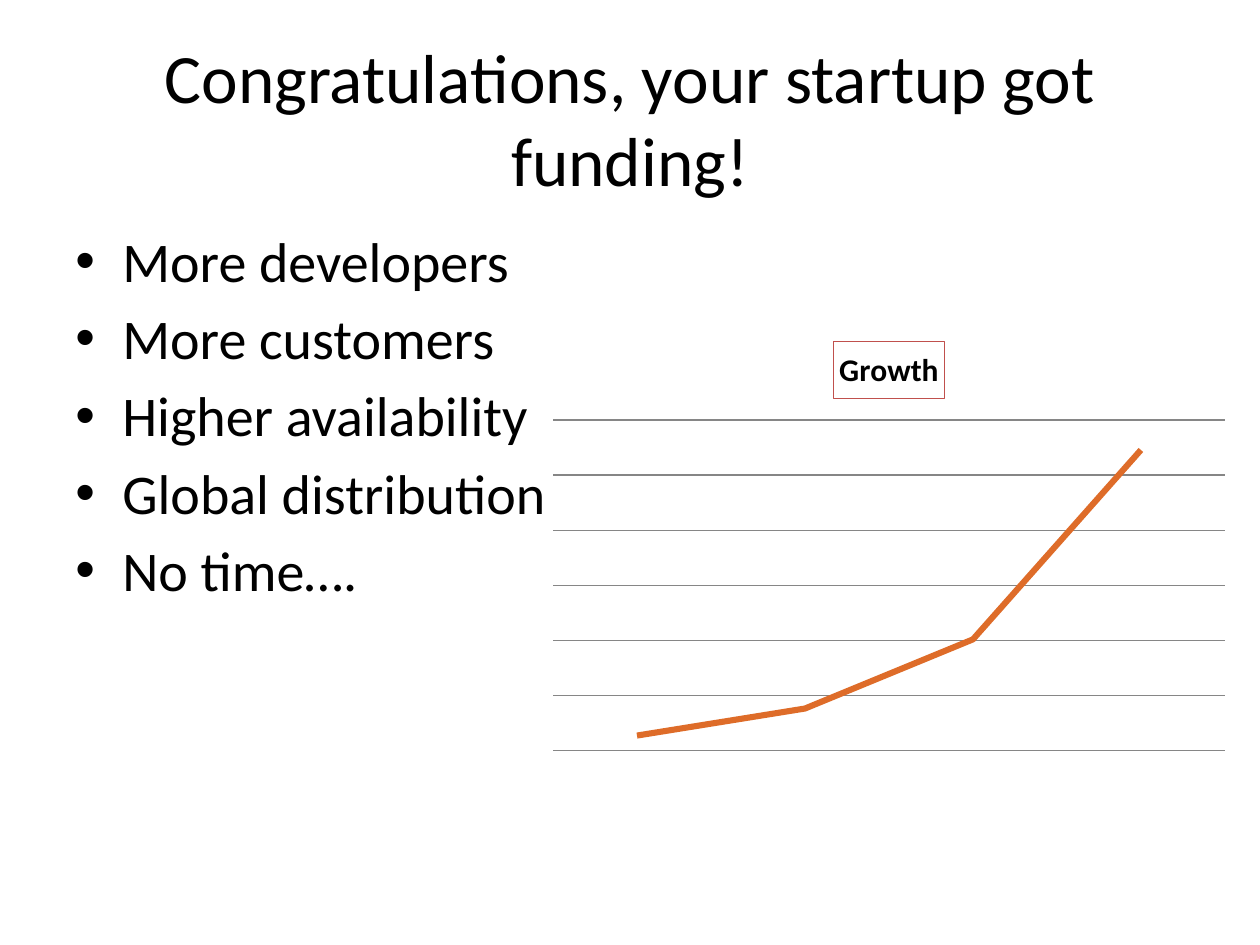
from dataclasses import dataclass
from lxml import etree
from pptx import Presentation
from pptx.chart.data import CategoryChartData
from pptx.dml.color import RGBColor
from pptx.enum.chart import XL_CHART_TYPE, XL_MARKER_STYLE
from pptx.enum.text import MSO_ANCHOR, PP_ALIGN
from pptx.oxml.ns import qn
from pptx.util import Pt

LINE_CHART = XL_CHART_TYPE.LINE
NO_MARKER = XL_MARKER_STYLE.NONE
TOP, MIDDLE = MSO_ANCHOR.TOP, MSO_ANCHOR.MIDDLE
LEFT, CENTER = PP_ALIGN.LEFT, PP_ALIGN.CENTER

# Content
TITLE = "Congratulations, your startup got funding!"
POINTS = ["More developers", "More customers", "Higher availability",
          "Global distribution", "No time…."]
GROWTH = {"title": "Growth", "series": "Series 1",
          "categories": ["1", "2", "3", "4"], "values": [5, 14, 37, 100],
          "maximum": 110, "step": 18.33}

# Places in px: left, top, width, height
PAGE_SIZE = (1260, 945)
TITLE_AREA = (63, 38, 1134, 158)
POINTS_AREA = (63, 220, 1134, 624)
CHART_AREA = (539, 326, 700, 433)
PLOT_AREA = (554, 420, 671, 331)
BULLET_INDENT = 47


@dataclass(frozen=True)
class Theme:
    font: str = "Calibri"
    text: RGBColor = RGBColor(0, 0, 0)
    paper: RGBColor = RGBColor(255, 255, 255)
    growth: RGBColor = RGBColor(0xDE, 0x6C, 0x29)
    frame: RGBColor = RGBColor(0xC0, 0x50, 0x4D)
    grid: RGBColor = RGBColor(0x86, 0x86, 0x86)
    title_size: float = 39.6
    point_size: float = 32
    chart_size: float = 18
    point_gap: float = 5.8
    thin: float = 0.75
    thick: float = 3.5


THEME = Theme()


def px(length):
    return round(length * 914400 / 126)


def set_font(font, size, bold=False):
    font.name, font.size, font.bold = THEME.font, Pt(size), bold
    font.color.rgb = THEME.text


def add_text(page, area, lines, size, align, anchor, bullets=False):
    box = page.shapes.add_textbox(*map(px, area))
    frame = box.text_frame
    frame.word_wrap = True
    frame.vertical_anchor = anchor
    for index, line in enumerate(lines):
        para = frame.paragraphs[0] if index == 0 else frame.add_paragraph()
        para.text = line
        para.alignment = align
        if index:
            para.space_before = Pt(THEME.point_gap)
        if bullets:
            add_bullet(para)
        set_font(para.font, size)


def add_bullet(para):
    properties = para._p.get_or_add_pPr()
    properties.set("marL", str(px(BULLET_INDENT)))
    properties.set("indent", str(-px(BULLET_INDENT)))
    etree.SubElement(properties, qn("a:buFont")).set("typeface", "Arial")
    etree.SubElement(properties, qn("a:buChar")).set("char", "•")


def place_plot(chart):
    left, top, width, height = CHART_AREA
    plot_left, plot_top, plot_width, plot_height = PLOT_AREA
    settings = [("layoutTarget", "inner"), ("xMode", "edge"), ("yMode", "edge"),
                ("x", round((plot_left - left) / width, 2)),
                ("y", round((plot_top - top) / height, 3)),
                ("w", round(plot_width / width, 2)),
                ("h", round(plot_height / height, 3))]
    plot_area = chart._chartSpace.chart.plotArea
    layout = plot_area.find(qn("c:layout"))
    if layout is None:
        layout = etree.Element(qn("c:layout"))
        plot_area.insert(0, layout)
    manual = etree.SubElement(layout, qn("c:manualLayout"))
    for name, value in settings:
        etree.SubElement(manual, qn("c:" + name)).set("val", str(value))


def add_growth_chart(page):
    data = CategoryChartData()
    data.categories = GROWTH["categories"]
    data.add_series(GROWTH["series"], GROWTH["values"])
    chart = page.shapes.add_chart(LINE_CHART, *map(px, CHART_AREA), data).chart
    set_font(chart.font, THEME.chart_size)
    chart.has_legend = False

    # Framed heading
    chart.has_title = True
    heading = chart.chart_title
    para = heading.text_frame.paragraphs[0]
    para.text = GROWTH["title"]
    set_font(para.font, THEME.chart_size, bold=True)
    heading.format.fill.solid()
    heading.format.fill.fore_color.rgb = THEME.paper
    heading.format.line.color.rgb = THEME.frame
    heading.format.line.width = Pt(THEME.thin)

    # Hidden axes with gridlines
    chart.category_axis.visible = False
    axis = chart.value_axis
    axis.visible = False
    axis.minimum_scale, axis.maximum_scale = 0, GROWTH["maximum"]
    axis.major_unit = GROWTH["step"]
    axis.has_major_gridlines = True
    axis.major_gridlines.format.line.color.rgb = THEME.grid
    axis.major_gridlines.format.line.width = Pt(THEME.thin)

    # Growth line
    plot = chart.plots[0]
    plot.vary_by_categories = False
    series = plot.series[0]
    series.smooth = False
    series.marker.style = NO_MARKER
    series.format.line.color.rgb = THEME.growth
    series.format.line.width = Pt(THEME.thick)
    place_plot(chart)


def main():
    deck = Presentation()
    deck.slide_width, deck.slide_height = map(px, PAGE_SIZE)
    page = deck.slides.add_slide(deck.slide_layouts[6])
    add_text(page, TITLE_AREA, [TITLE], THEME.title_size, CENTER, MIDDLE)
    add_text(page, POINTS_AREA, POINTS, THEME.point_size, LEFT, TOP, bullets=True)
    add_growth_chart(page)
    deck.save("out.pptx")


if __name__ == "__main__":
    main()
